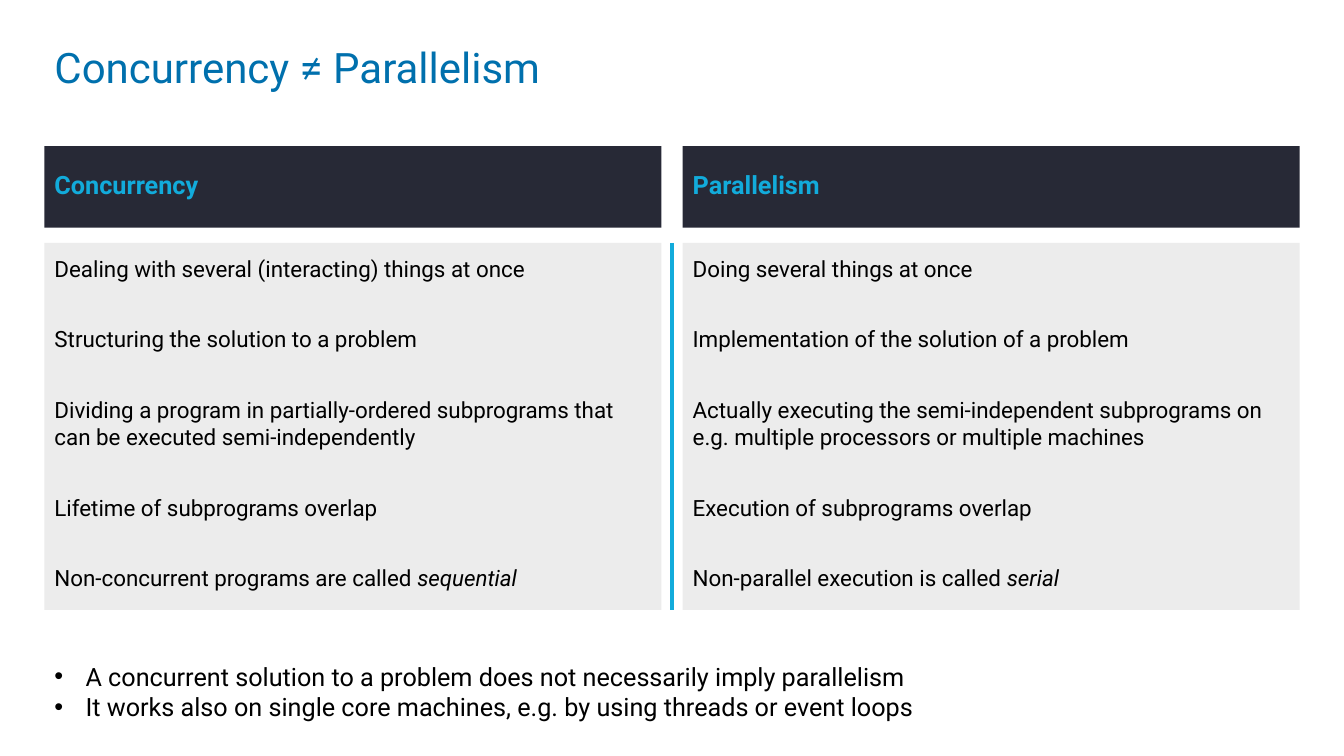
from dataclasses import dataclass

from lxml import etree
from pptx import Presentation
from pptx.dml.color import RGBColor
from pptx.enum.shapes import MSO_CONNECTOR
from pptx.enum.text import MSO_ANCHOR, MSO_AUTO_SIZE, PP_ALIGN
from pptx.oxml.ns import qn
from pptx.util import Inches, Pt

STRAIGHT = MSO_CONNECTOR.STRAIGHT
TOP, MIDDLE = MSO_ANCHOR.TOP, MSO_ANCHOR.MIDDLE
FIXED_SIZE, FIT_SHAPE = MSO_AUTO_SIZE.NONE, MSO_AUTO_SIZE.SHAPE_TO_FIT_TEXT
LEFT = PP_ALIGN.LEFT
COMPARISON_LAYOUT = 4

TITLE = "Concurrency ≠ Parallelism"
COMPARISON = [
    ("Concurrency", [
        ("Dealing with several (interacting) things at once",),
        ("Structuring the solution to a problem",),
        ("Dividing a program in partially-ordered subprograms that can be executed semi-independently",),
        ("Lifetime of subprograms overlap",),
        ("Non-concurrent programs are called ", "sequential"),
    ]),
    ("Parallelism", [
        ("Doing several things at once",),
        ("Implementation of the solution of a problem",),
        ("Actually executing the semi-independent subprograms on e.g. multiple processors or multiple machines",),
        ("Execution of subprograms overlap",),
        ("Non-parallel execution is called ", "serial"),
    ]),
]
CONCLUSIONS = [
    ("A concurrent solution to a problem does not necessarily imply parallelism",),
    ("It works also on single core machines, e.g. by using threads or event loops",),
]


@dataclass(frozen=True)
class Theme:
    font: str = "Roboto"
    title: str = "0070AD"
    accent: str = "12ABDB"
    header: str = "272936"
    panel: str = "ECECEC"
    text: str = "000000"
    title_size: int = 30
    large_size: int = 18
    body_size: int = 16
    divider_width: float = 2.25
    width: float = 13.33
    height: float = 7.5
    margin: float = 0.44
    gutter: float = 0.21
    columns: int = 12
    rows: int = 100


class ComparisonSlide:
    """Builds a two-sided comparison on a grid of columns and rows."""

    def __init__(self, presentation, theme):
        self.theme = theme
        presentation.slide_width = Inches(theme.width)
        presentation.slide_height = Inches(theme.height)
        self.slide = presentation.slides.add_slide(presentation.slide_layouts[COMPARISON_LAYOUT])
        self.step = (theme.width - 2 * theme.margin + theme.gutter) / theme.columns

    def column(self, number):
        return Inches(self.theme.margin + number * self.step)

    def row(self, number):
        return Inches(number * self.theme.height / self.theme.rows)

    def box(self, column, row, columns, rows):
        width = Inches(columns * self.step - self.theme.gutter)
        return self.column(column), self.row(row), width, self.row(rows)

    def place(self, index, box, fill=None):
        shape = self.slide.placeholders[index]
        shape.left, shape.top, shape.width, shape.height = box
        if fill:
            shape.fill.solid()
            shape.fill.fore_color.rgb = RGBColor.from_string(fill)
        return shape

    def set_lines(self, shape, lines, size, color, bold=False, anchor=TOP, insets=(0.1, 0.05, 0.1, 0.05),
                  before=0, after=0, spacing=1.0, bullet=None, fit=FIXED_SIZE):
        frame = shape.text_frame
        frame.word_wrap = True
        frame.auto_size = fit
        frame.vertical_anchor = anchor
        frame.margin_left, frame.margin_top, frame.margin_right, frame.margin_bottom = map(Inches, insets)
        for number, (lead, *emphasis) in enumerate(lines):
            paragraph = frame.add_paragraph() if number else frame.paragraphs[0]
            paragraph.text = lead
            for word in emphasis:
                run = paragraph.add_run()
                run.text = word
                run.font.italic = True
            paragraph.alignment = LEFT
            paragraph.line_spacing = spacing
            paragraph.space_before = Pt(before)
            paragraph.space_after = Pt(after)
            self.mark(paragraph, bullet)
            for run in paragraph.runs:
                run.font.name = self.theme.font
                run.font.size = Pt(size)
                run.font.bold = bold
                run.font.color.rgb = RGBColor.from_string(color)

    def mark(self, paragraph, bullet):
        properties = paragraph._p.get_or_add_pPr()
        indent = Inches(0.31) if bullet else 0
        properties.set("marL", str(indent))
        properties.set("indent", str(-indent))
        if bullet:
            etree.SubElement(properties, qn("a:buFont")).set("typeface", "Arial")
            etree.SubElement(properties, qn("a:buChar")).set("char", bullet)
        else:
            etree.SubElement(properties, qn("a:buNone"))

    def title(self, text):
        shape = self.place(0, self.box(0, 5.6, 11.55, 10.4))
        self.set_lines(shape, [(text,)], self.theme.title_size, self.theme.title, spacing=0.9)

    def side(self, number, heading, points):
        half = self.theme.columns / 2
        header = self.place(2 * number + 1, self.box(number * half, 19.33, half, 10.8), self.theme.header)
        self.set_lines(header, [(heading,)], self.theme.large_size, self.theme.accent, bold=True,
                       anchor=MIDDLE, insets=(0.1, 0, 0.04, 0.05), before=10)
        panel = self.place(2 * number + 2, self.box(number * half, 32.13, half, 48.53), self.theme.panel)
        self.set_lines(panel, points, self.theme.body_size, self.theme.text,
                       insets=(0.1, 0.12, 0.1, 0.05), after=31.25)

    def divider(self):
        center = self.column(self.theme.columns / 2) - Inches(self.theme.gutter / 2)
        line = self.slide.shapes.add_connector(STRAIGHT, center, self.row(32.13), center, self.row(80.66))
        line.line.color.rgb = RGBColor.from_string(self.theme.accent)
        line.line.width = Pt(self.theme.divider_width)
        etree.SubElement(line._element.spPr, qn("a:effectLst"))

    def conclusions(self, lines):
        shape = self.slide.shapes.add_textbox(*self.box(0, 86.8, self.theme.columns, 9.47))
        self.set_lines(shape, lines, self.theme.large_size, self.theme.text, bullet="•", fit=FIT_SHAPE)


def main():
    presentation = Presentation()
    comparison = ComparisonSlide(presentation, Theme())
    comparison.title(TITLE)
    for number, (heading, points) in enumerate(COMPARISON):
        comparison.side(number, heading, points)
    comparison.divider()
    comparison.conclusions(CONCLUSIONS)
    presentation.save("out.pptx")


if __name__ == "__main__":
    main()
